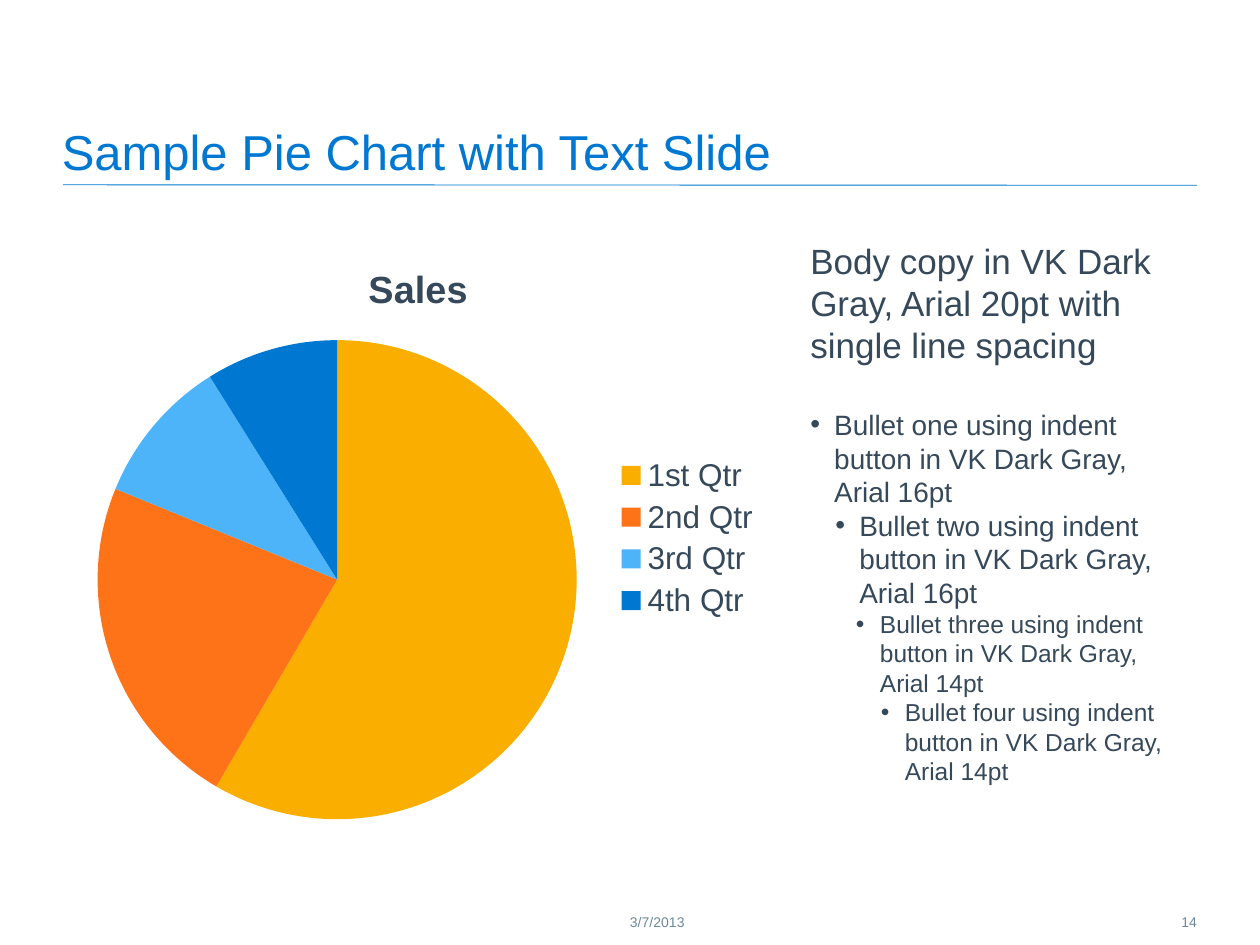
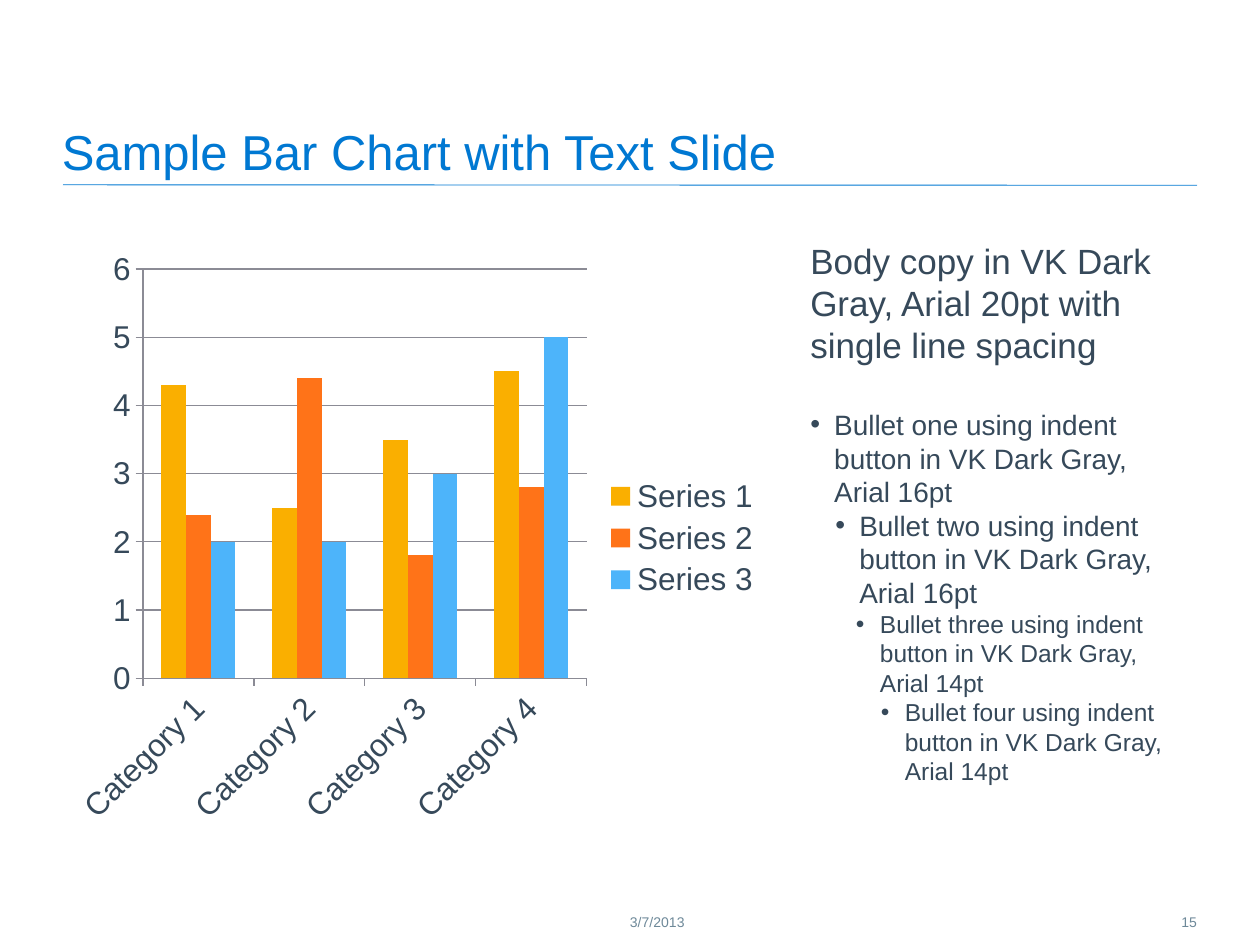
from dataclasses import dataclass

from lxml import etree
from pptx import Presentation
from pptx.chart.data import CategoryChartData
from pptx.dml.color import RGBColor
from pptx.enum import chart as ch, shapes, text
from pptx.oxml.ns import qn
from pptx.util import Pt


@dataclass(frozen=True)
class Theme:
    font: str = "Arial"
    blue: str = "0078D2"
    dark: str = "36495A"
    pale: str = "6E8999"
    grid: str = "8B8B95"
    fills: tuple = ("FAAF00", "FF7318", "4DB4FA", "0078D2")
    title: float = 28
    lead: float = 20
    head: float = 21.6
    chart: float = 18
    foot: float = 8


@dataclass(frozen=True)
class Box:
    left: float
    top: float
    width: float
    height: float

    def pts(self) -> tuple:
        return Pt(self.left), Pt(self.top), Pt(self.width), Pt(self.height)


@dataclass(frozen=True)
class Bullet:
    lines: tuple
    size: float
    indent: float


@dataclass(frozen=True)
class Page:
    title: str
    number: str
    kind: ch.XL_CHART_TYPE
    cats: tuple
    series: dict


THEME = Theme()
TITLE = Box(35.3, 30.2, 648.7, 72.6)
CHART = Box(36, 136.8, 406, 341.3)
BODY = Box(463, 136.8, 221, 342)
DATE = Box(360, 522, 180, 10)
NUMBER = Box(658.8, 522, 25.2, 10.8)
RULE = Box(36, 105.6, 648, 0.3)
HANG = 13.7

LEAD = "Body copy in VK Dark Gray, Arial 20pt with single line spacing"
BULLETS = (
    Bullet(("Bullet one using indent button in VK Dark Gray,", "Arial 16pt"), 16, HANG),
    Bullet(("Bullet two using indent button in VK Dark Gray, Arial 16pt",), 16, 28),
    Bullet(("Bullet three using indent button in VK Dark Gray, ", "Arial 14pt"), 14, 39.8),
    Bullet(("Bullet four using indent button in VK Dark Gray, Arial 14pt",), 14, 54),
)
PAGES = (
    Page("Sample Pie Chart with Text Slide", "14", ch.XL_CHART_TYPE.PIE,
         ("1st Qtr", "2nd Qtr", "3rd Qtr", "4th Qtr"),
         {"Sales": (59, 23, 10, 9)}),
    Page("Sample Bar Chart with Text Slide", "15", ch.XL_CHART_TYPE.COLUMN_CLUSTERED,
         ("Category 1", "Category 2", "Category 3", "Category 4"),
         {"Series 1": (4.3, 2.5, 3.5, 4.5),
          "Series 2": (2.4, 4.4, 1.8, 2.8),
          "Series 3": (2, 2, 3, 5)}),
)


def style(font, size: float, color: str, bold: bool = False) -> None:
    font.name, font.size, font.bold = THEME.font, Pt(size), bold
    font.color.rgb = RGBColor.from_string(color)


def paint(item, color: str) -> None:
    item.format.fill.solid()
    item.format.fill.fore_color.rgb = RGBColor.from_string(color)


def write(para, words: str, size: float, color: str) -> None:
    run = para.add_run()
    run.text = words
    style(run.font, size, color)


def frame(shape, box: Box, anchor=text.MSO_ANCHOR.TOP):
    """Place a text shape, clear its insets and return its text frame."""
    shape.left, shape.top, shape.width, shape.height = box.pts()
    area = shape.text_frame
    area.margin_left = area.margin_right = area.margin_top = area.margin_bottom = 0
    area.word_wrap, area.auto_size = True, text.MSO_AUTO_SIZE.NONE
    area.vertical_anchor = anchor
    return area


def add_title(slide, words: str) -> None:
    para = frame(slide.shapes.title, TITLE, text.MSO_ANCHOR.BOTTOM).paragraphs[0]
    para.alignment = text.PP_ALIGN.LEFT
    write(para, words, THEME.title, THEME.blue)


def add_rule(slide) -> None:
    left, top, width, height = RULE.pts()
    rule = slide.shapes.add_connector(
        shapes.MSO_CONNECTOR.STRAIGHT, left, top, left + width, top + height)
    rule.line.width = Pt(0.5)
    rule.line.color.rgb = RGBColor.from_string(THEME.blue)
    etree.SubElement(rule._element.spPr, qn("a:effectLst"))


def add_note(slide, box: Box, words: str, align=text.PP_ALIGN.LEFT) -> None:
    para = frame(slide.shapes.add_textbox(*box.pts()), box).paragraphs[0]
    para.alignment = align
    write(para, words, THEME.foot, THEME.pale)


def space(para, after: float = 0) -> None:
    para.line_spacing = 1.0
    para.space_before, para.space_after = Pt(0), Pt(after)


def mark(para, indent: float, hang: float, char: str = "") -> None:
    """Set the indent, and the bullet if a character is given."""
    props = para._p.get_or_add_pPr()
    props.set("marL", str(int(Pt(indent))))
    props.set("indent", str(-int(Pt(hang))))
    if char:
        etree.SubElement(props, qn("a:buChar")).set("char", char)
    else:
        etree.SubElement(props, qn("a:buNone"))


def add_body(slide) -> None:
    area = frame(slide.placeholders[1], BODY)
    lead = area.paragraphs[0]
    space(lead, after=24)
    mark(lead, 0, 0)
    write(lead, LEAD, THEME.lead, THEME.dark)
    for level, item in enumerate(BULLETS, 1):
        para = area.add_paragraph()
        para.level = level
        space(para)
        mark(para, item.indent, HANG, "•")
        for row, words in enumerate(item.lines):
            if row:
                para.add_line_break()
            write(para, words, item.size, THEME.dark)


def style_pie(chart) -> None:
    para = chart.chart_title.text_frame.paragraphs[0]
    run = para.add_run()
    run.text = chart.plots[0].series[0].name
    style(run.font, THEME.head, THEME.dark, bold=True)
    for index, color in enumerate(THEME.fills):
        paint(chart.plots[0].series[0].points[index], color)


def style_bars(chart) -> None:
    chart.has_title = False
    plot = chart.plots[0]
    plot.vary_by_categories, plot.gap_width = False, 150
    for series, color in zip(plot.series, THEME.fills):
        paint(series, color)
    value = chart.value_axis
    value.has_major_gridlines = True
    for axis in (chart.category_axis, value):
        axis.major_tick_mark = ch.XL_TICK_MARK.OUTSIDE
    for owner in (chart.category_axis, value, value.major_gridlines):
        owner.format.line.width = Pt(0.75)
        owner.format.line.color.rgb = RGBColor.from_string(THEME.grid)


def add_graph(slide, page: Page) -> None:
    data = CategoryChartData()
    data.categories = page.cats
    for name, values in page.series.items():
        data.add_series(name, values)
    chart = slide.shapes.add_chart(page.kind, *CHART.pts(), data).chart
    style(chart.font, THEME.chart, THEME.dark)
    chart.has_legend = True
    chart.legend.position = ch.XL_LEGEND_POSITION.RIGHT
    chart.legend.include_in_layout = False
    if page.kind == ch.XL_CHART_TYPE.PIE:
        style_pie(chart)
    else:
        style_bars(chart)


def add_page(deck, page: Page) -> None:
    slide = deck.slides.add_slide(deck.slide_layouts[1])
    add_rule(slide)
    add_title(slide, page.title)
    add_graph(slide, page)
    add_note(slide, DATE, "3/7/2013")
    add_note(slide, NUMBER, page.number, text.PP_ALIGN.RIGHT)
    add_body(slide)


def main() -> None:
    deck = Presentation()
    deck.slide_width, deck.slide_height = Pt(720), Pt(540)
    for page in PAGES:
        add_page(deck, page)
    deck.save("out.pptx")


if __name__ == "__main__":
    main()
